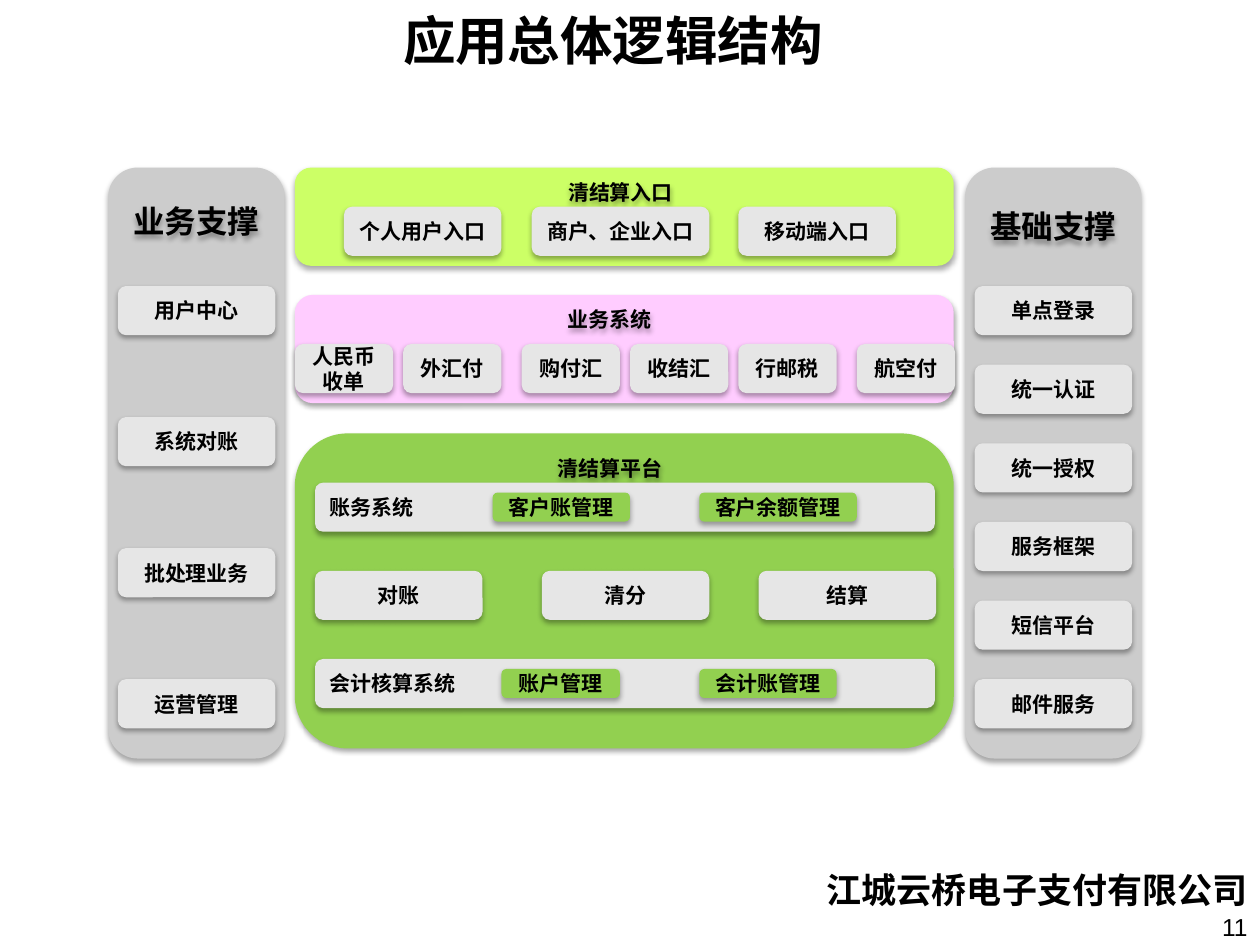
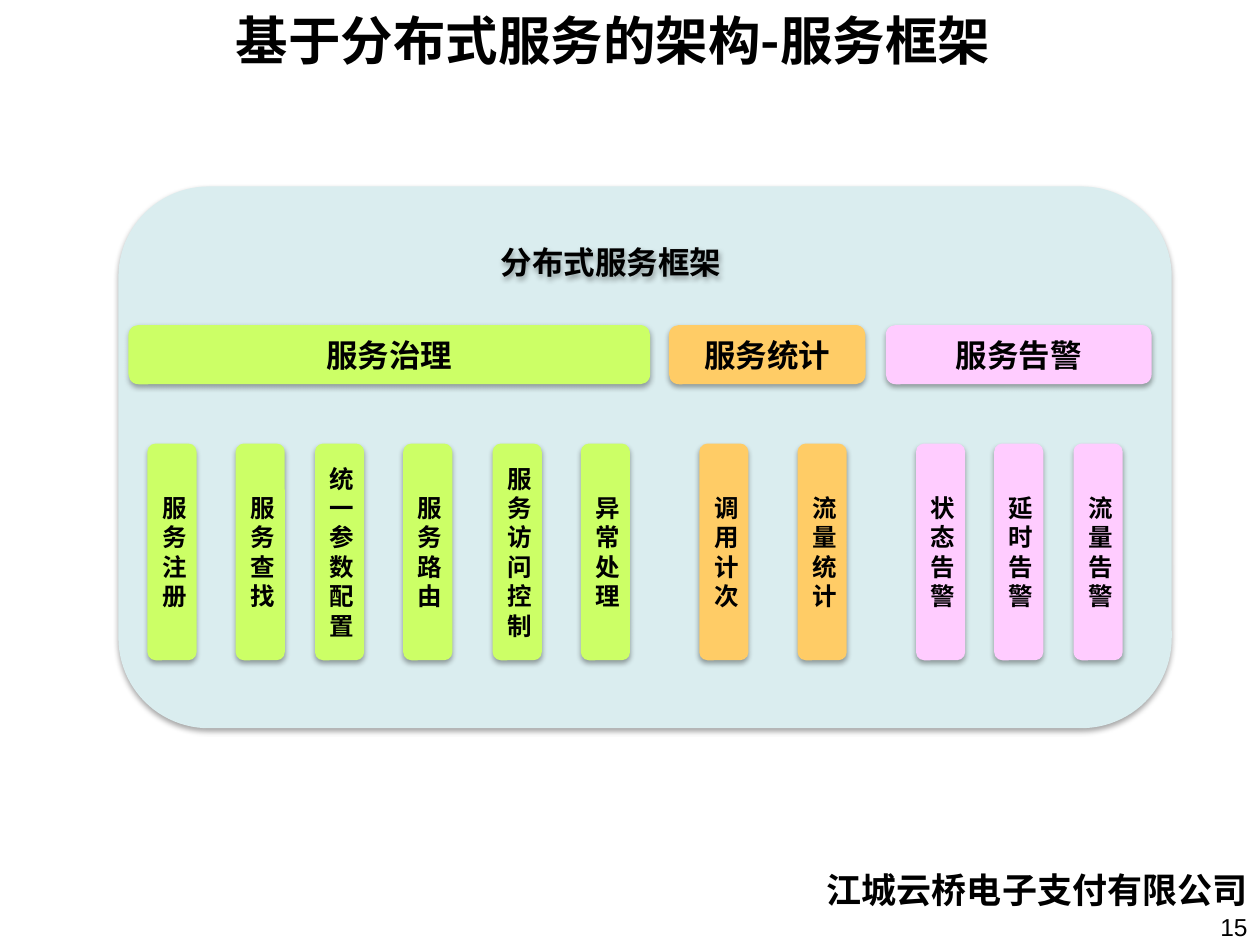
from lxml.etree import SubElement
from pptx import Presentation
from pptx.dml.color import RGBColor
from pptx.enum.shapes import MSO_SHAPE
from pptx.enum.text import MSO_ANCHOR, PP_ALIGN
from pptx.oxml.ns import qn
from pptx.util import Inches, Pt

BLACK = RGBColor(0x00, 0x00, 0x00)
LIME = RGBColor(0xCC, 0xFF, 0x66)
PINK = RGBColor(0xFF, 0xCC, 0xFF)
GREEN = RGBColor(0x92, 0xD0, 0x50)
ORANGE = RGBColor(0xFF, 0xCC, 0x66)
SILVER = RGBColor(0xCC, 0xCC, 0xCC)
PALE = RGBColor(0xE6, 0xE6, 0xE6)
AQUA = RGBColor(0xDA, 0xED, 0xEF)

COMPANY = "江城云桥电子支付有限公司"
BOX_H, TAG_H = 0.39, 0.23
SIDE_TOP, SIDE_H, SIDE_W = 1.33, 4.69, 1.4
SIDE_BOX_W, SIDE_FIRST, SIDE_LAST = 1.25, 2.27, 5.39

TITLE = {"size": Pt(30), "name": "Noto Sans CJK SC", "bold": True}
FOOTER = {"size": Pt(20), "name": "Arial", "bold": True}
NUMBER = {"size": Pt(14), "name": "Arial", "bold": False}
HEAD = {"size": Pt(18), "name": "Arial", "bold": True}
LABEL = {"size": Pt(12), "name": "Arial", "bold": True}
COLUMN = {"size": Pt(14), "name": "Arial", "bold": True}

LAYERS = [
    (1.33, 0.78, LIME, "清结算入口", (4.3, 1.33, 1.25)),
    (2.34, 0.86, PINK, "业务系统", (4.37, 2.34, 0.94)),
    (3.44, 2.5, GREEN, "清结算平台", (4.3, 3.52, 1.09)),
]
SIDES = [
    (0.86, "业务支撑", 0.55, ["用户中心", "系统对账", "批处理业务", "运营管理"]),
    (7.66, "基础支撑", 0.63,
     ["单点登录", "统一认证", "统一授权", "服务框架", "短信平台", "邮件服务"]),
]
BOX_ROWS = [
    (1.64, [(2.73, 1.25, "个人用户入口"), (4.22, 1.41, "商户、企业入口"),
            (5.86, 1.25, "移动端入口")]),
    (2.73, [(2.34, 0.78, "人民币收单"), (3.2, 0.78, "外汇付"),
            (4.14, 0.78, "购付汇"), (5, 0.78, "收结汇"),
            (5.86, 0.78, "行邮税"), (6.8, 0.78, "航空付")]),
    (4.53, [(2.5, 1.33, "对账"), (4.3, 1.33, "清分"), (6.02, 1.41, "结算")]),
]
SYSTEMS = [
    (3.83, "账务系统", [(3.91, 1.09, "客户账管理"), (5.55, 1.25, "客户余额管理")]),
    (5.23, "会计核算系统", [(3.98, 0.94, "账户管理"), (5.55, 1.09, "会计账管理")]),
]
SERVICES = [
    (1.02, 4.14, LIME, "服务治理",
     [(1.17, "服务注册"), (1.87, "服务查找"), (2.5, "统一\n参数配置"),
      (3.2, "服务路由"), (3.91, "服务访问控制"), (4.61, "异常处理")]),
    (5.31, 1.56, ORANGE, "服务统计", [(5.55, "调用计次"), (6.33, "流量统计")]),
    (7.03, 2.11, PINK, "服务告警",
     [(7.27, "状态\n告警"), (7.89, "延时\n告警"), (8.52, "流量\n告警")]),
]


def write(sp, text, style, align=PP_ALIGN.CENTER, anchor=MSO_ANCHOR.MIDDLE, **margins):
    tf = sp.text_frame
    for key, value in {"word_wrap": True, "vertical_anchor": anchor, **margins}.items():
        setattr(tf, key, value)
    tf.text = text
    for p in tf.paragraphs:
        p.alignment = align
        for r in p.runs:
            for key, value in style.items():
                setattr(r.font, key, value)
            r.font.color.rgb = BLACK


def add_text(s, at, text, style, **layout):
    write(s.shapes.add_textbox(*map(Inches, at)), text, style, **layout)


def add_box(s, at, fill=None, text="", style=LABEL, align=PP_ALIGN.CENTER):
    sp = s.shapes.add_shape(MSO_SHAPE.ROUNDED_RECTANGLE, *map(Inches, at))
    sp.line.fill.background()
    if fill is None:
        sp.fill.background()
    else:
        sp.fill.solid()
        sp.fill.fore_color.rgb = fill
    sp.shadow.inherit = False
    effects = sp._element.spPr.find(qn("a:effectLst"))
    shadow = SubElement(effects, qn("a:outerShdw"), blurRad=str(Pt(3.1)),
                        dist=str(Pt(1.8)), dir="5400000", rotWithShape="0")
    color = SubElement(shadow, qn("a:srgbClr"), val=str(BLACK))
    SubElement(color, qn("a:alpha"), val="35000")
    if text:
        write(sp, text, style, align)


def add_slide(prs, title, number):
    s = prs.slides.add_slide(prs.slide_layouts[6])
    add_text(s, (0.82, 0, 8.09, 0.62), title, TITLE)
    add_text(s, (9.38, 7.19, 0.62, 0.36), number, NUMBER,
             align=PP_ALIGN.RIGHT, anchor=MSO_ANCHOR.TOP)
    add_text(s, (6.41, 6.95, 3.59, 0.55), COMPANY, FOOTER, align=PP_ALIGN.RIGHT,
             margin_top=0, margin_bottom=Inches(0.33))
    return s


def build_logic(prs):
    s = add_slide(prs, "应用总体逻辑结构", "11")
    for top, height, fill, caption, (x, y, w) in LAYERS:
        add_box(s, (2.34, top, 5.23, height), fill)
        add_box(s, (x, y, w, BOX_H), text=caption)
    for left, heading, head_h, names in SIDES:
        add_box(s, (left, SIDE_TOP, SIDE_W, SIDE_H), SILVER)
        add_box(s, (left, 1.48, SIDE_W, head_h), text=heading, style=HEAD)
        step = (SIDE_LAST - SIDE_FIRST) / (len(names) - 1)
        for i, name in enumerate(names):
            add_box(s, (left + (SIDE_W - SIDE_BOX_W) / 2, SIDE_FIRST + i * step,
                        SIDE_BOX_W, BOX_H), PALE, name)
    for top, boxes in BOX_ROWS:
        for left, width, name in boxes:
            add_box(s, (left, top, width, BOX_H), PALE, name)
    for top, system, tags in SYSTEMS:
        add_box(s, (2.5, top, 4.92, BOX_H), PALE, system, align=PP_ALIGN.LEFT)
        for left, width, name in tags:
            add_box(s, (left, top + (BOX_H - TAG_H) / 2, width, TAG_H), GREEN, name)


def build_services(prs):
    s = add_slide(prs, "基于分布式服务的架构-服务框架", "15")
    add_box(s, (0.94, 1.48, 8.36, 4.3), AQUA)
    add_box(s, (3.52, 1.8, 2.66, 0.55), text="分布式服务框架", style=HEAD)
    for left, width, fill, heading, columns in SERVICES:
        add_box(s, (left, 2.58, width, 0.47), fill, heading, HEAD)
        for x, name in columns:
            add_box(s, (x, 3.52, 0.39, 1.72), fill, name, COLUMN)


def main():
    prs = Presentation()
    prs.slide_width, prs.slide_height = Inches(10), Inches(7.5)
    build_logic(prs)
    build_services(prs)
    prs.save("out.pptx")


if __name__ == "__main__":
    main()
